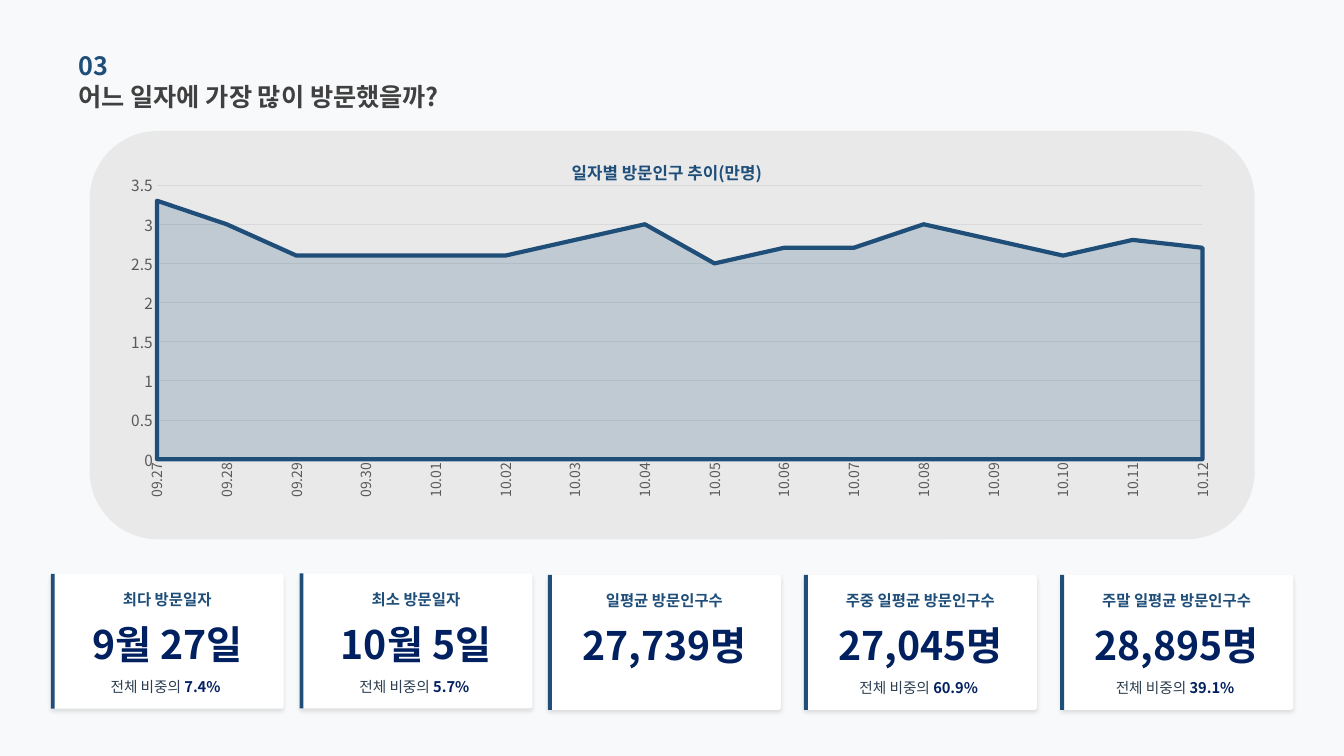
"""Build the daily visitor trend slide."""
from dataclasses import dataclass

from lxml.etree import SubElement
from pptx import Presentation
from pptx.chart.data import CategoryChartData
from pptx.dml.color import RGBColor
from pptx.enum.chart import XL_CHART_TYPE, XL_TICK_MARK
from pptx.enum.shapes import MSO_SHAPE
from pptx.enum.text import MSO_ANCHOR, PP_ALIGN
from pptx.oxml import parse_xml
from pptx.oxml.ns import nsdecls, qn
from pptx.util import Cm, Pt


@dataclass(frozen=True)
class Theme:
    """Colours, font and type sizes."""
    font: str = "Noto Sans CJK KR"
    page: str = "F8F9FA"
    panel: str = "D0CECE"
    white: str = "FFFFFF"
    blue: str = "1F4E79"
    navy: str = "002060"
    heading: str = "404040"
    body: str = "2C3E50"
    axis: str = "595959"
    grid: str = "D9D9D9"
    heading_size: float = 18
    title_size: float = 12
    label_size: float = 11
    value_size: float = 28
    share_size: float = 10.5
    date_size: float = 10


@dataclass(frozen=True)
class Span:
    """One run of text with its style."""
    text: str
    size: float
    color: str
    bold: bool = True


@dataclass(frozen=True)
class Card:
    """One key figure card, placed in centimetres."""
    x: float
    y: float
    label: str
    value: str
    share: str = ""


T = Theme()
CARD_W, CARD_H = 5.87, 3.4
CARDS = [
    Card(1.28, 14.46, "최다 방문일자", "9월 27일", "7.4%"),
    Card(7.55, 14.45, "최소 방문일자", "10월 5일", "5.7%"),
    Card(13.81, 14.49, "일평균 방문인구수", "27,739명"),
    Card(20.26, 14.49, "주중 일평균 방문인구수", "27,045명", "60.9%"),
    Card(26.72, 14.49, "주말 일평균 방문인구수", "28,895명", "39.1%"),
]
DATES = [f"09.{d}" for d in range(27, 31)] + [f"10.{d:02}" for d in range(1, 13)]
VISITORS = [3.3, 3, 2.6, 2.6, 2.6, 2.6, 2.8, 3, 2.5, 2.7, 2.7, 3, 2.8, 2.6, 2.8, 2.7]


def rgb(color: str) -> RGBColor:
    """Turn a hex string into a colour."""
    return RGBColor.from_string(color)


def style_font(font, size: float, color: str, bold: bool = False) -> None:
    """Set face, size, colour and weight of a font."""
    font.name, font.size, font.bold = T.font, Pt(size), bold
    font.color.rgb = rgb(color)


def add_run(p, span: Span) -> None:
    """Add one styled run to a paragraph."""
    r = p.add_run()
    r.text = span.text
    style_font(r.font, span.size, span.color, span.bold)
    SubElement(r._r.get_or_add_rPr(), qn("a:ea"), typeface=T.font)


def add_text(s, x: float, y: float, w: float, h: float, spans: list[Span],
             align=PP_ALIGN.CENTER) -> None:
    """Add a text box without insets, given in centimetres."""
    tf = s.shapes.add_textbox(Cm(x), Cm(y), Cm(w), Cm(h)).text_frame
    tf.word_wrap, tf.vertical_anchor = True, MSO_ANCHOR.MIDDLE
    tf.margin_left = tf.margin_right = tf.margin_top = tf.margin_bottom = 0
    p = tf.paragraphs[0]
    p.alignment = align
    for span in spans:
        add_run(p, span)


def add_box(s, kind, x: float, y: float, w: float, h: float, color: str):
    """Add a filled shape without outline or shadow."""
    sp = s.shapes.add_shape(kind, Cm(x), Cm(y), Cm(w), Cm(h))
    sp.shadow.inherit = False
    sp.fill.solid()
    sp.fill.fore_color.rgb = rgb(color)
    sp.line.fill.background()
    return sp


def set_alpha(element, percent: int) -> None:
    """Make the first solid fill of an element translucent."""
    color = element.find(f".//{qn('a:solidFill')}/{qn('a:srgbClr')}")
    SubElement(color, qn("a:alpha"), val=str(percent * 1000))


def add_shadow(sp) -> None:
    """Give a card its soft shadow below."""
    effects = sp._element.spPr.find(qn("a:effectLst"))
    shadow = SubElement(effects, qn("a:outerShdw"), blurRad=str(Pt(3)), dist=str(Pt(2)),
                        dir="5400000", algn="t", rotWithShape="0")
    set_color = SubElement(shadow, qn("a:srgbClr"), val="000000")
    SubElement(set_color, qn("a:alpha"), val="10000")


def set_layout(parent, index: int, **values) -> None:
    """Place a chart part by fractions of the chart area."""
    for old in parent.findall(qn("c:layout")):
        parent.remove(old)
    items = "".join(f'<c:{k} val="{v}"/>' for k, v in values.items())
    parent.insert(index, parse_xml(
        f'<c:layout {nsdecls("c")}><c:manualLayout>{items}</c:manualLayout></c:layout>'))


def add_card(s, card: Card) -> None:
    """Draw one key figure card."""
    sp = add_box(s, MSO_SHAPE.ROUNDED_RECTANGLE, card.x, card.y, CARD_W, CARD_H, T.white)
    sp.adjustments[0] = 0.02
    add_shadow(sp)
    add_text(s, card.x, card.y + 0.37, CARD_W, 0.56,
             [Span(card.label, T.label_size, T.blue)])
    add_text(s, card.x, card.y + 1.28, CARD_W, 0.97,
             [Span(card.value, T.value_size, T.navy)])
    if card.share:
        add_text(s, card.x, card.y + 2.58, CARD_W, 0.53,
                 [Span("전체 비중의 ", T.share_size, T.body, False),
                  Span(f"{card.share} ", T.share_size, T.navy)])
    add_box(s, MSO_SHAPE.RECTANGLE, card.x, card.y, 0.1, CARD_H, T.blue)


def add_trend(s) -> None:
    """Draw the area chart of daily visitors."""
    data = CategoryChartData()
    data.categories = DATES
    data.add_series("Series 1", VISITORS)
    chart = s.shapes.add_chart(XL_CHART_TYPE.AREA, Cm(2.74), Cm(3.38), Cm(28.27),
                               Cm(10.36), data).chart
    chart.has_legend = False
    style_font(chart.font, T.date_size, "000000")
    chart.has_title = True
    title = chart.chart_title
    add_run(title.text_frame.paragraphs[0],
            Span("일자별 방문인구 추이(만명)", T.title_size, T.blue))
    set_layout(title._element, 1, xMode="edge", yMode="edge", x=0.41, y=0.05)
    set_layout(chart._chartSpace.chart.plotArea, 0, layoutTarget="inner", xMode="edge",
               yMode="edge", x=0.043, y=0.124, w=0.932, h=0.667)

    chart.plots[0].vary_by_categories = False
    series = chart.plots[0].series[0]
    series.format.fill.solid()
    series.format.fill.fore_color.rgb = rgb(T.blue)
    set_alpha(series._element, 20)
    series.format.line.color.rgb = rgb(T.blue)
    series.format.line.width = Pt(3)

    dates, counts = chart.category_axis, chart.value_axis
    for axis, size in ((dates, T.date_size), (counts, T.label_size)):
        axis.major_tick_mark = axis.minor_tick_mark = XL_TICK_MARK.NONE
        style_font(axis.tick_labels.font, size, T.axis)
    dates._element.find(f".//{qn('a:bodyPr')}").set("rot", "-5400000")
    counts.minimum_scale, counts.maximum_scale, counts.major_unit = 0, 3.5, 0.5
    counts.tick_labels.number_format = "General"
    counts.tick_labels.number_format_is_linked = False
    counts._element.find(qn("c:crossBetween")).set("val", "midCat")
    counts.has_major_gridlines = True
    for line in (dates.format.line, counts.major_gridlines.format.line):
        line.color.rgb = rgb(T.grid)
        line.width = Pt(0.75)
    counts.format.line.fill.background()


def main() -> None:
    """Build and save the slide."""
    prs = Presentation()
    prs.slide_width, prs.slide_height = Cm(33.87), Cm(19.05)
    s = prs.slides.add_slide(prs.slide_layouts[6])
    s.background.fill.solid()
    s.background.fill.fore_color.rgb = rgb(T.page)
    panel = add_box(s, MSO_SHAPE.ROUNDED_RECTANGLE, 2.26, 3.3, 29.36, 10.29, T.panel)
    set_alpha(panel._element.spPr, 36)
    for y, text, color in ((1.91, "어느 일자에 가장 많이 방문했을까?", T.heading),
                           (1.12, "03", T.blue)):
        add_text(s, 1.98, y, 11.48, 1.04, [Span(text, T.heading_size, color)],
                 PP_ALIGN.LEFT)
    for card in CARDS:
        add_card(s, card)
    add_trend(s)
    prs.save("out.pptx")


if __name__ == "__main__":
    main()
